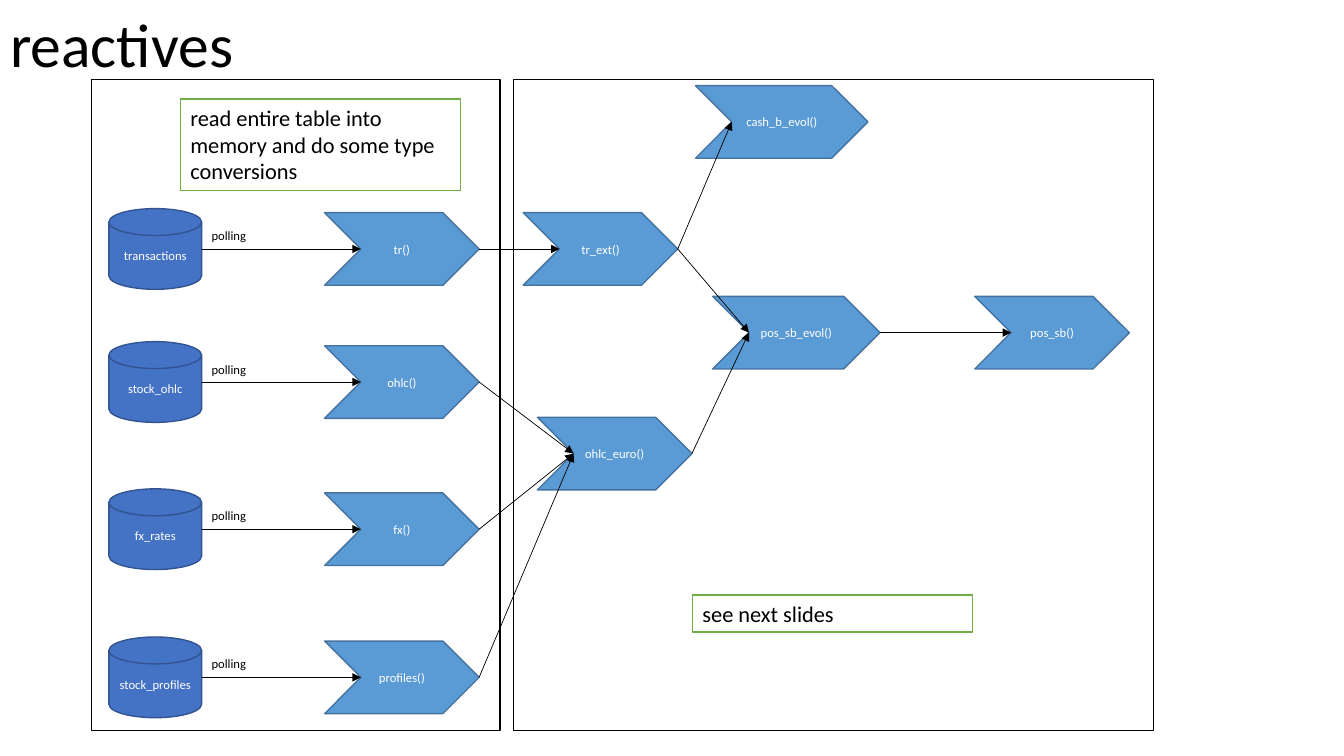
from dataclasses import dataclass

from lxml import etree
from pptx import Presentation
from pptx.dml.color import RGBColor
from pptx.enum.shapes import MSO_CONNECTOR, MSO_SHAPE
from pptx.enum.text import MSO_ANCHOR, PP_ALIGN
from pptx.oxml.ns import qn
from pptx.util import Inches, Pt

# Positions and sizes are percentages of the slide's width and height.
WIDTH, HEIGHT = Inches(13.333), Inches(7.5)
FONT = "Calibri"
COLORS = {
    "ink": "000000", "paper": "FFFFFF", "note_line": "70AD47",
    "store": "4472C4", "store_line": "325491",
    "reactive": "5B9BD5", "reactive_line": "43739E",
}
STORE_LEFT, STORE_WIDTH, STORE_HEIGHT = 8.1, 6.9, 10.67
LOADER_LEFT, REACTIVE_HEIGHT = 24.15, 9.6
POLL_WIDTH, POLL_HEIGHT = 5.78, 3.33


@dataclass(frozen=True)
class Box:
    """A rectangle in slide percentages."""
    left: float
    top: float
    width: float
    height: float

    def emu(self) -> tuple[int, int, int, int]:
        """Return the rectangle in slide units."""
        return (x(self.left), y(self.top), x(self.width), y(self.height))


@dataclass(frozen=True)
class Reactive:
    """A reactive function, placed by its left edge and middle line."""
    name: str
    left: float
    middle: float
    width: float = 11.5

    def entry(self) -> tuple[int, int]:
        """Return the point of the chevron's notch."""
        return x(self.left) + y(REACTIVE_HEIGHT) // 2, y(self.middle)

    def tip(self) -> tuple[int, int]:
        """Return the chevron's right-hand tip."""
        return x(self.left + self.width), y(self.middle)


@dataclass(frozen=True)
class Source:
    """A polled table and the reactive that loads it."""
    table: str
    loader: str
    middle: float
    label_rise: float = 3.47


@dataclass(frozen=True)
class Note:
    """A framed remark."""
    text: str
    box: Box


SOURCES = [
    Source("transactions", "tr()", 32.93),
    Source("stock_ohlc", "ohlc()", 50.53, 3.3),
    Source("fx_rates", "fx()", 70),
    Source("stock_profiles", "profiles()", 89.6),
]
DERIVED = [
    Reactive("tr_ext()", 38.93, 32.93),
    Reactive("cash_b_evol()", 51.75, 16.13, 12.83),
    Reactive("pos_sb_evol()", 53.03, 44, 12.45),
    Reactive("pos_sb()", 72.53, 44),
    Reactive("ohlc_euro()", 39.98, 60),
]
FLOWS = [
    ("ohlc()", "ohlc_euro()"), ("fx()", "ohlc_euro()"),
    ("profiles()", "ohlc_euro()"), ("tr()", "tr_ext()"),
    ("tr_ext()", "cash_b_evol()"), ("tr_ext()", "pos_sb_evol()"),
    ("ohlc_euro()", "pos_sb_evol()"), ("pos_sb_evol()", "pos_sb()"),
]
NOTES = [
    Note("read entire table into memory and do some type conversions",
         Box(13.43, 13.07, 20.85, 12.13)),
    Note("see next slides", Box(51.53, 78.7, 20.85, 4.93)),
]
FRAMES = [Box(6.83, 10.53, 30.38, 86.13), Box(38.18, 10.53, 47.63, 86.13)]


def x(share: float) -> int:
    """Turn a percentage of the width into slide units."""
    return round(WIDTH * share / 100)


def y(share: float) -> int:
    """Turn a percentage of the height into slide units."""
    return round(HEIGHT * share / 100)


def rgb(name: str) -> RGBColor:
    """Look up a named colour."""
    return RGBColor.from_string(COLORS[name])


def write(shape, text: str, size: float, color: str = "ink",
          align=PP_ALIGN.LEFT, anchor=MSO_ANCHOR.TOP) -> None:
    """Put one formatted paragraph into a shape."""
    frame = shape.text_frame
    frame.word_wrap = True
    frame.vertical_anchor = anchor
    paragraph = frame.paragraphs[0]
    paragraph.alignment = align
    run = paragraph.add_run()
    run.text = text
    run.font.name, run.font.size = FONT, Pt(size)
    run.font.color.rgb = rgb(color)


def add_box(slide, kind, box: Box, line: str, weight: float = 1,
            fill: str | None = None):
    """Draw a preset shape with its outline and optional fill."""
    shape = slide.shapes.add_shape(kind, *box.emu())
    shape.shadow.inherit = False
    if fill:
        shape.fill.solid()
        shape.fill.fore_color.rgb = rgb(fill)
    else:
        shape.fill.background()
    shape.line.color.rgb = rgb(line)
    shape.line.width = Pt(weight)
    return shape


def add_node(slide, kind, text: str, box: Box, color: str) -> None:
    """Draw a filled node with a small centred caption."""
    shape = add_box(slide, kind, box, f"{color}_line", fill=color)
    write(shape, text, 9, "paper", PP_ALIGN.CENTER, MSO_ANCHOR.MIDDLE)


def add_reactive(slide, item: Reactive) -> None:
    """Draw a reactive as a chevron."""
    box = Box(item.left, item.middle - REACTIVE_HEIGHT / 2, item.width, REACTIVE_HEIGHT)
    add_node(slide, MSO_SHAPE.CHEVRON, item.name, box, "reactive")


def add_arrow(slide, start: tuple[int, int], end: tuple[int, int]) -> None:
    """Draw a thin straight arrow."""
    arrow = slide.shapes.add_connector(MSO_CONNECTOR.STRAIGHT, *start, *end)
    arrow.line.color.rgb = rgb("ink")
    arrow.line.width = Pt(0.5)
    etree.SubElement(arrow.line._get_or_add_ln(), qn("a:tailEnd"), type="triangle")
    etree.SubElement(arrow._element.spPr, qn("a:effectLst"))


def add_source(slide, source: Source, loader: Reactive) -> None:
    """Draw a table, its loader and the polling arrow between them."""
    top = source.middle - STORE_HEIGHT / 2
    add_node(slide, MSO_SHAPE.FLOWCHART_MAGNETIC_DISK, source.table,
             Box(STORE_LEFT, top, STORE_WIDTH, STORE_HEIGHT), "store")
    add_reactive(slide, loader)
    right = STORE_LEFT + STORE_WIDTH
    add_arrow(slide, (x(right), y(source.middle)), loader.entry())
    label_box = Box(right, source.middle - source.label_rise, POLL_WIDTH, POLL_HEIGHT)
    write(slide.shapes.add_textbox(*label_box.emu()), "polling", 9)


def add_title(slide, text: str, box: Box) -> None:
    """Place and format the title placeholder."""
    title = slide.shapes.title
    title.left, title.top, title.width, title.height = box.emu()
    write(title, text, 44, anchor=MSO_ANCHOR.MIDDLE)
    title.text_frame.paragraphs[0].line_spacing = 0.9


def main() -> None:
    """Build and save the slide."""
    deck = Presentation()
    deck.slide_width, deck.slide_height = WIDTH, HEIGHT
    slide = deck.slides.add_slide(deck.slide_layouts[5])
    add_title(slide, "reactives", Box(0, -3.33, 86.25, 19.33))
    loaders = [Reactive(s.loader, LOADER_LEFT, s.middle) for s in SOURCES]
    for source, loader in zip(SOURCES, loaders):
        add_source(slide, source, loader)
    for item in DERIVED:
        add_reactive(slide, item)
    reactives = {item.name: item for item in loaders + DERIVED}
    for start, end in FLOWS:
        add_arrow(slide, reactives[start].tip(), reactives[end].entry())
    for note in NOTES:
        shape = add_box(slide, MSO_SHAPE.RECTANGLE, note.box, "note_line", fill="paper")
        write(shape, note.text, 16)
    for frame in FRAMES:
        add_box(slide, MSO_SHAPE.RECTANGLE, frame, "ink", 0.75)
    deck.save("out.pptx")


main()
